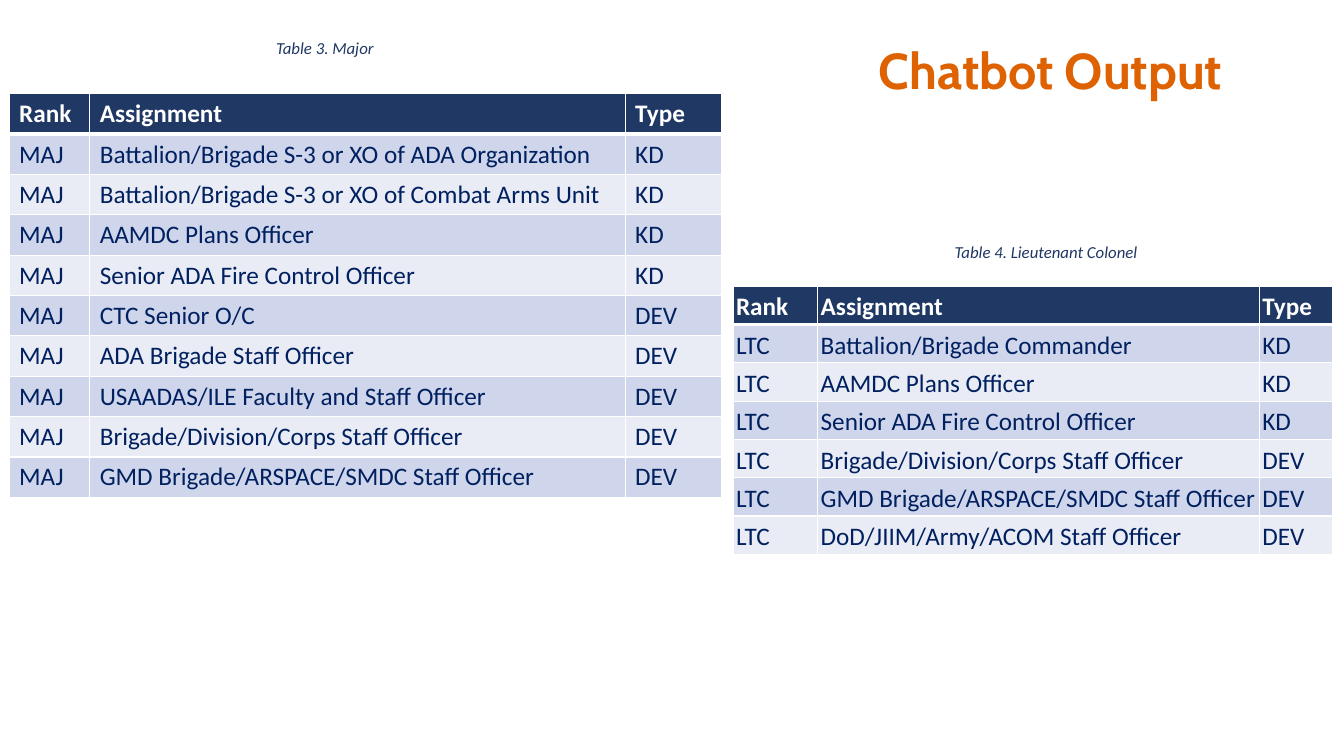
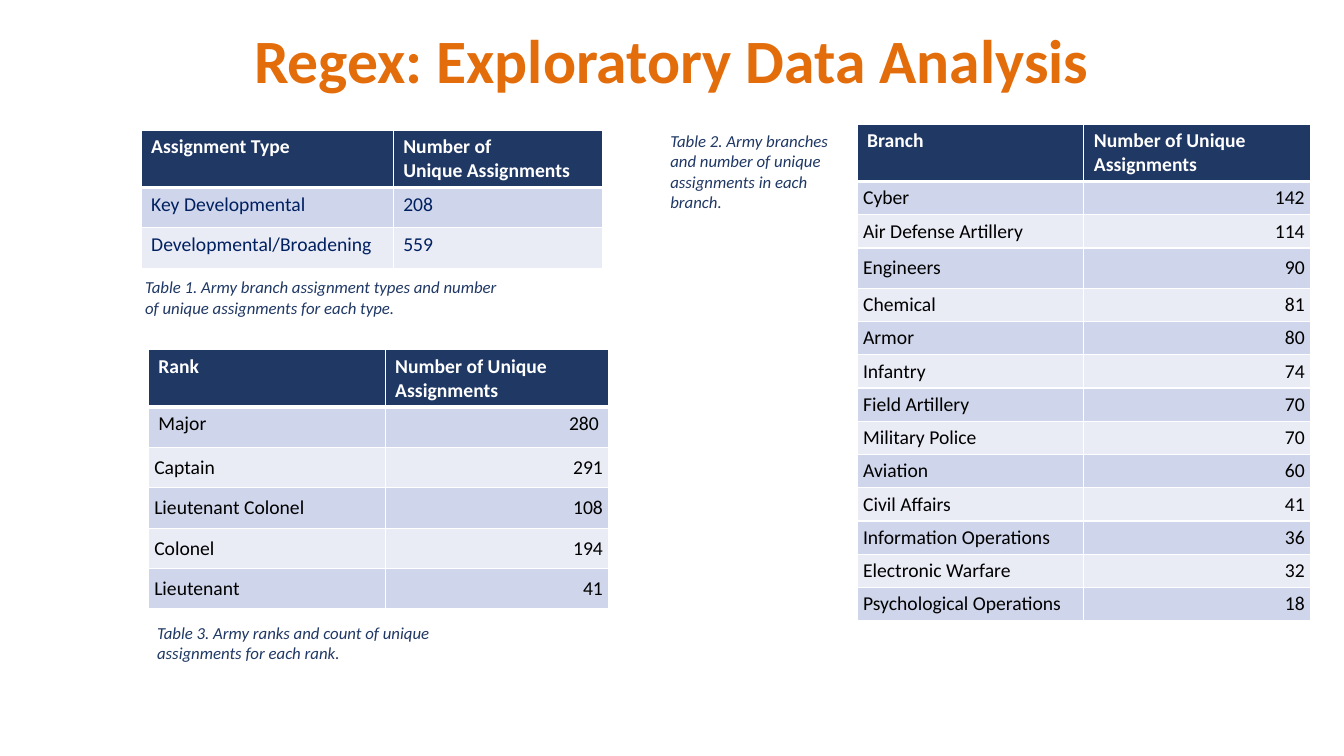
from dataclasses import dataclass

from lxml.etree import SubElement
from pptx import Presentation
from pptx.dml.color import RGBColor
from pptx.enum.text import MSO_ANCHOR as Anchor, MSO_AUTO_SIZE as AutoSize, PP_ALIGN as Align
from pptx.oxml.ns import qn
from pptx.slide import Slide
from pptx.table import _Cell as Cell
from pptx.text.text import _Paragraph as Paragraph
from pptx.util import Inches, Pt

NAVY, INK, BLACK, WHITE = "203864", "002060", "000000", "FFFFFF"
BANDS = ("CFD5EA", "E9EBF5")
BODY_FONT = "Calibri"
# The space inside "Unique Assignments" is a no-break space.
COUNT_HEADING = "Number of Unique Assignments"


@dataclass(frozen=True)
class CellFormat:
    anchor: Anchor
    side_inset: float = 0.1
    end_inset: float = 0.05


TOP = CellFormat(Anchor.TOP)
BOTTOM = CellFormat(Anchor.BOTTOM)
TIGHT = CellFormat(Anchor.BOTTOM, 0.03, 0.02)
COMPACT = CellFormat(Anchor.MIDDLE, 0.06, 0.02)


@dataclass(frozen=True)
class Title:
    text: str
    box: tuple[float, float, float, float]
    font: str
    size: int
    color: str
    anchor: Anchor


@dataclass(frozen=True)
class Caption:
    text: str
    box: tuple[float, float, float, float]


@dataclass(frozen=True)
class TableBlock:
    """The first head_rows rows take head_format, the others body_format."""
    left: float
    top: float
    widths: tuple[float, ...]
    heights: list[float]
    rows: list[tuple[str, ...]]
    size: int
    color: str
    head_format: CellFormat
    body_format: CellFormat
    head_rows: int = 1
    numbers_right: bool = False


def rgb(color: str) -> RGBColor:
    return RGBColor.from_string(color)


def style_text(paragraph: Paragraph, color: str, **formats) -> None:
    for name, value in formats.items():
        setattr(paragraph.font, name, value)
    paragraph.font.color.rgb = rgb(color)


def add_text(slide: Slide, text: str, box: tuple[float, ...], **frame_formats) -> Paragraph:
    frame = slide.shapes.add_textbox(*map(Inches, box)).text_frame
    for name, value in {"word_wrap": True, **frame_formats}.items():
        setattr(frame, name, value)
    paragraph = frame.paragraphs[0]
    paragraph.text = text
    return paragraph


def add_title(slide: Slide, title: Title) -> None:
    paragraph = add_text(slide, title.text, title.box, vertical_anchor=title.anchor)
    paragraph.alignment = Align.CENTER
    paragraph.line_spacing = 0.9
    style_text(paragraph, title.color, name=title.font, size=Pt(title.size), bold=True)


def add_caption(slide: Slide, caption: Caption) -> None:
    paragraph = add_text(slide, caption.text, caption.box, auto_size=AutoSize.SHAPE_TO_FIT_TEXT)
    style_text(paragraph, NAVY, name=BODY_FONT, size=Pt(12), italic=True)


def add_borders(cell: Cell, row_index: int) -> None:
    """White rules, thicker between the heading and the body."""
    properties = cell._tc.get_or_add_tcPr()
    points = {"lnL": 1, "lnR": 1, "lnT": 3 if row_index == 1 else 1, "lnB": 3 if row_index == 0 else 1}
    for side, width in points.items():
        line = SubElement(properties, qn(f"a:{side}"), w=str(Pt(width)))
        SubElement(SubElement(line, qn("a:solidFill")), qn("a:srgbClr"), val=WHITE)


def fill_cell(cell: Cell, text: str, row_index: int, block: TableBlock) -> None:
    is_heading = row_index == 0
    layout = block.head_format if row_index < block.head_rows else block.body_format
    cell.text = text
    formats = {
        "vertical_anchor": layout.anchor,
        "margin_left": Inches(layout.side_inset),
        "margin_right": Inches(layout.side_inset),
        "margin_top": Inches(layout.end_inset),
        "margin_bottom": Inches(layout.end_inset),
    }
    for name, value in formats.items():
        setattr(cell, name, value)
    add_borders(cell, row_index)
    cell.fill.solid()
    cell.fill.fore_color.rgb = rgb(NAVY if is_heading else BANDS[(row_index - 1) % 2])
    for paragraph in cell.text_frame.paragraphs:
        if block.numbers_right and text.isdigit():
            paragraph.alignment = Align.RIGHT
        style_text(paragraph, WHITE if is_heading else block.color,
                   name=BODY_FONT, size=Pt(block.size), bold=is_heading)


def add_table(slide: Slide, block: TableBlock) -> None:
    box = (block.left, block.top, sum(block.widths), sum(block.heights))
    table = slide.shapes.add_table(len(block.rows), len(block.widths), *map(Inches, box)).table
    table.horz_banding = False
    for column, width in zip(table.columns, block.widths):
        column.width = Inches(width)
    for row_index, (row, height, texts) in enumerate(zip(table.rows, block.heights, block.rows)):
        row.height = Inches(height)
        for cell, text in zip(row.cells, texts):
            fill_cell(cell, text, row_index, block)


def assignment_rows(rank: str, key: list[str], developmental: list[str]) -> list[tuple[str, ...]]:
    return [("Rank", "Assignment", "Type"),
            *((rank, name, "KD") for name in key),
            *((rank, name, "DEV") for name in developmental)]


MAJOR_TABLE = TableBlock(
    0.09, 0.93, (0.8, 5.31, 0.96), [0.4] * 10,
    assignment_rows(
        "MAJ",
        ["Battalion/Brigade S-3 or XO of ADA Organization",
         "Battalion/Brigade S-3 or XO of Combat Arms Unit",
         "AAMDC Plans Officer",
         "Senior ADA Fire Control Officer"],
        ["CTC Senior O/C",
         "ADA Brigade Staff Officer",
         "USAADAS/ILE Faculty and Staff Officer",
         "Brigade/Division/Corps Staff Officer",
         "GMD Brigade/ARSPACE/SMDC Staff Officer"]),
    18, INK, BOTTOM, BOTTOM)

LIEUTENANT_COLONEL_TABLE = TableBlock(
    7.27, 2.84, (0.84, 4.38, 0.73), [0.38] * 7,
    assignment_rows(
        "LTC",
        ["Battalion/Brigade Commander",
         "AAMDC Plans Officer",
         "Senior ADA Fire Control Officer"],
        ["Brigade/Division/Corps Staff Officer",
         "GMD Brigade/ARSPACE/SMDC Staff Officer",
         "DoD/JIIM/Army/ACOM Staff Officer"]),
    18, INK, TIGHT, TIGHT)

TYPE_TABLE = TableBlock(
    1.4, 1.29, (2.5, 2.08), [0.57, 0.4, 0.4],
    [("Assignment Type", "Number of\nUnique Assignments"),
     ("Key Developmental", "208"),
     ("Developmental/Broadening", "559")],
    14, INK, TOP, TOP)

RANK_TABLE = TableBlock(
    1.47, 3.47, (2.35, 2.22), [0.57] + [0.4] * 5,
    [("Rank", COUNT_HEADING),
     ("Major", "280"),
     ("Captain", "291"),
     ("Lieutenant Colonel", "108"),
     ("Colonel", "194"),
     ("Lieutenant", "41")],
    14, BLACK, TOP, COMPACT, head_rows=2, numbers_right=True)

BRANCH_TABLE = TableBlock(
    8.5, 1.23, (2.25, 2.25), [0.57, 0.33, 0.33, 0.4] + [0.33] * 10,
    [("Branch", COUNT_HEADING),
     ("Cyber", "142"),
     ("Air Defense Artillery", "114"),
     ("Engineers", "90"),
     ("Chemical", "81"),
     ("Armor", "80"),
     ("Infantry", "74"),
     ("Field Artillery", "70"),
     ("Military Police", "70"),
     ("Aviation", "60"),
     ("Civil Affairs", "41"),
     ("Information Operations", "36"),
     ("Electronic Warfare", "32"),
     ("Psychological Operations", "18")],
    14, BLACK, TOP, COMPACT, numbers_right=True)

SLIDES = [
    (Title("Chatbot Output", (7.51, 0.41, 5.82, 0.56), "Cabin", 36, "DE6201", Anchor.TOP),
     [MAJOR_TABLE, LIEUTENANT_COLONEL_TABLE],
     [Caption("Table 4. Lieutenant Colonel", (9.37, 2.35, 2.38, 0.3)),
      Caption("Table 3. Major", (2.64, 0.33, 1.39, 0.3))]),
    (Title("Regex: Exploratory Data Analysis", (0, 0.28, 13.33, 0.7), BODY_FONT, 44, "E36C0B",
           Anchor.MIDDLE),
     [TYPE_TABLE, RANK_TABLE, BRANCH_TABLE],
     [Caption("Table 1. Army branch assignment types and number of unique assignments for each type.",
              (1.34, 2.7, 3.74, 0.5)),
      Caption("Table 3. Army ranks and count of unique assignments for each rank.",
              (1.46, 6.13, 3.74, 0.5)),
      Caption("Table 2. Army branches and number of unique assignments in each branch.",
              (6.55, 1.25, 1.86, 0.91))]),
]


def main() -> None:
    presentation = Presentation()
    presentation.slide_width, presentation.slide_height = Inches(13.33), Inches(7.5)
    blank_layout = presentation.slide_layouts[6]
    for title, tables, captions in SLIDES:
        slide = presentation.slides.add_slide(blank_layout)
        add_title(slide, title)
        for block in tables:
            add_table(slide, block)
        for caption in captions:
            add_caption(slide, caption)
    presentation.save("out.pptx")


if __name__ == "__main__":
    main()
